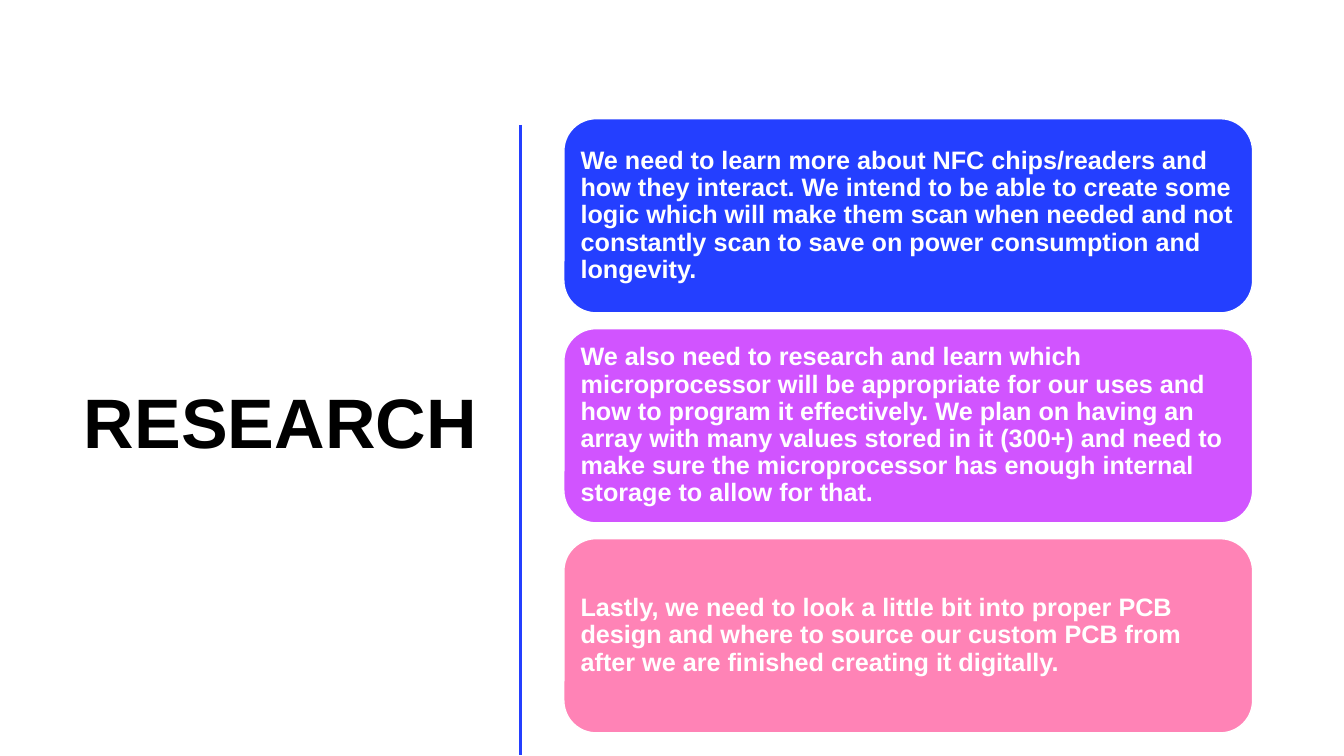
from lxml import etree
from pptx import Presentation
from pptx.dml.color import RGBColor as Rgb
from pptx.enum.shapes import MSO_CONNECTOR as Line, MSO_SHAPE as Shape
from pptx.enum.text import MSO_ANCHOR as Anchor, MSO_AUTO_SIZE as Auto, PP_ALIGN as Align
from pptx.oxml.ns import qn
from pptx.util import Pt

PX = 9525  # 96 px to the inch
FONT = "Arial"
HUES = {
    "ink": "000000",
    "paper": "FFFFFF",
    "blue": "243FFF",
    "violet": "D154FF",
    "pink": "FF83B6",
}
CARDS = [
    ("blue", "We need to learn more about NFC chips/readers and how they interact. "
             "We intend to be able to create some logic which will make them scan when "
             "needed and not constantly scan to save on power consumption and longevity."),
    ("violet", "We also need to research and learn which microprocessor will be "
               "appropriate for our uses and how to program it effectively. We plan on "
               "having an array with many values stored in it (300+) and need to make "
               "sure the microprocessor has enough internal storage to allow for that."),
    ("pink", "Lastly, we need to look a little bit into proper PCB design and where to "
             "source our custom PCB from after we are finished creating it digitally."),
]


def px(*sizes):
    return [size * PX for size in sizes]


def hue(name):
    return Rgb.from_string(HUES[name])


def write(frame, text, size, color, align):
    frame.word_wrap = True
    frame.auto_size = Auto.NONE
    frame.vertical_anchor = Anchor.MIDDLE
    para = frame.paragraphs[0]
    para.alignment = align
    para.line_spacing = 0.9
    run = para.add_run()
    run.text = text
    font = run.font
    font.name, font.size, font.bold = FONT, Pt(size), True
    font.color.rgb = hue(color)


def add_title(slide, box):
    title = slide.shapes.title
    title.left, title.top, title.width, title.height = px(*box)
    write(title.text_frame, "RESEARCH", 50, "ink", Align.RIGHT)


def add_rule(slide, x, top, end):
    rule = slide.shapes.add_connector(Line.STRAIGHT, *px(x, top, x, end))
    rule.line.color.rgb = hue("blue")
    rule.line.width = Pt(2)
    etree.SubElement(rule._element.spPr, qn("a:effectLst"))


def add_cards(slide, box, gap):
    left, top, width, height = box
    tall = (height - gap * (len(CARDS) - 1)) // len(CARDS)
    for i, (color, text) in enumerate(CARDS):
        place = px(left, top + i * (tall + gap), width, tall)
        card = slide.shapes.add_shape(Shape.ROUNDED_RECTANGLE, *place)
        card.shadow.inherit = False
        card.fill.solid()
        card.fill.fore_color.rgb = hue(color)
        card.line.color.rgb = hue("paper")
        card.line.width = Pt(1)
        frame = card.text_frame
        frame.margin_left = frame.margin_right = 7 * PX
        frame.margin_top = frame.margin_bottom = 7 * PX
        write(frame, text, 18, "paper", Align.LEFT)


def main():
    deck = Presentation()
    deck.slide_width, deck.slide_height = px(1280, 720)
    slide = deck.slides.add_slide(deck.slide_layouts[5])

    # Title on the left
    add_title(slide, (50, 112, 414, 587))
    # Vertical divider
    add_rule(slide, 496, 119, 719)
    # Stack of research cards
    add_cards(slide, (537, 113, 656, 585), 15)

    deck.save("out.pptx")


if __name__ == "__main__":
    main()
